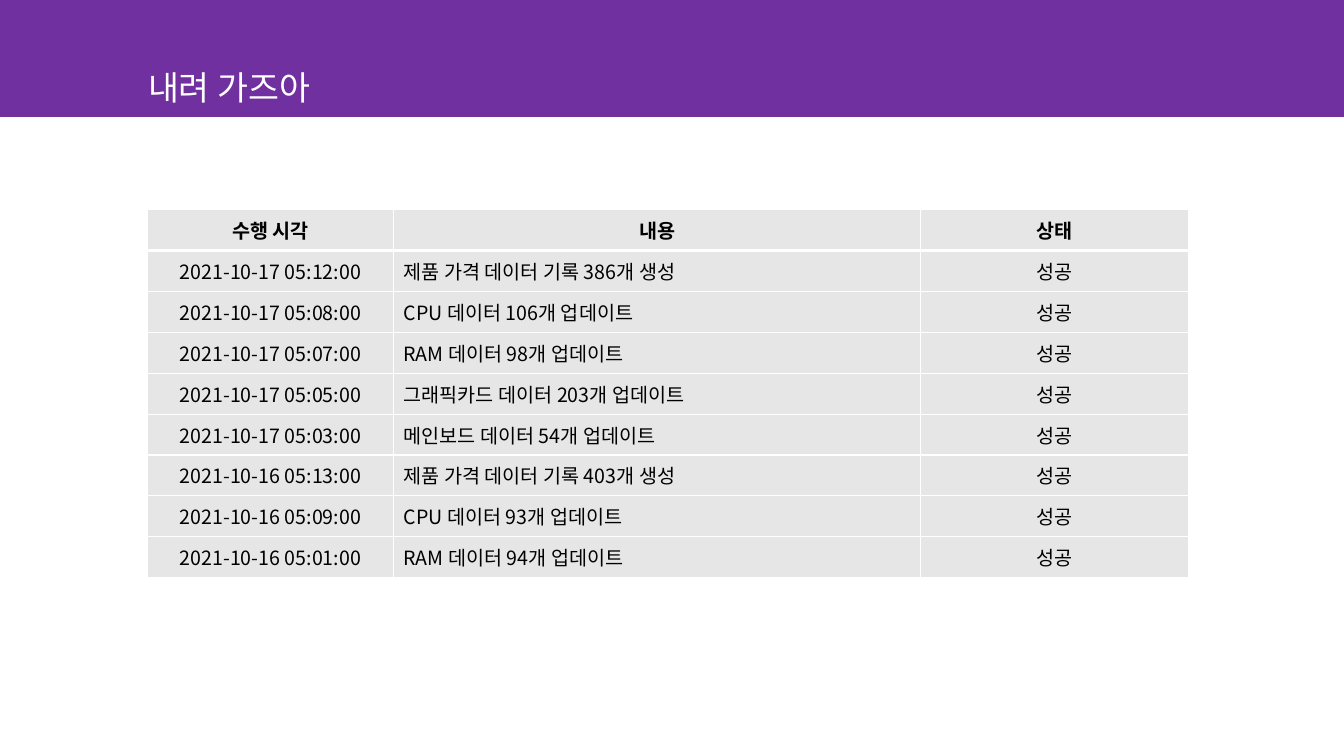
from lxml.etree import SubElement as Sub
from pptx import Presentation
from pptx.dml.color import RGBColor as RGB
from pptx.enum.shapes import MSO_SHAPE as Kind
from pptx.enum.text import MSO_ANCHOR as Anchor, MSO_AUTO_SIZE as Fit, PP_ALIGN as Align
from pptx.oxml.ns import qn
from pptx.util import Pt

FONT = "Noto Sans CJK KR"
HUES = {"band": "7030A0", "cell": "E7E6E6", "text": "000000", "white": "FFFFFF"}
HEAD = ("수행 시각", "내용", "상태")
LOGS = [
    ("2021-10-17 05:12:00", "제품 가격 데이터 기록 386개 생성"),
    ("2021-10-17 05:08:00", "CPU 데이터 106개 업데이트"),
    ("2021-10-17 05:07:00", "RAM 데이터 98개 업데이트"),
    ("2021-10-17 05:05:00", "그래픽카드 데이터 203개 업데이트"),
    ("2021-10-17 05:03:00", "메인보드 데이터 54개 업데이트"),
    ("2021-10-16 05:13:00", "제품 가격 데이터 기록 403개 생성"),
    ("2021-10-16 05:09:00", "CPU 데이터 93개 업데이트"),
    ("2021-10-16 05:01:00", "RAM 데이터 94개 업데이트"),
]
STATE = "성공"


class Deck:
    """Holds the slide style and draws each kind of element."""

    def __init__(self, wide, high):
        self.prs = Presentation()
        self.prs.slide_width, self.prs.slide_height = Pt(wide), Pt(high)
        self.slide = self.prs.slides.add_slide(self.prs.slide_layouts[5])

    def hue(self, name):
        return RGB.from_string(HUES[name])

    def label(self, frame, text, size, hue, align, bold=False):
        frame.text = text
        para = frame.paragraphs[0]
        para.alignment = align
        for run in para.runs:
            font = run.font
            font.name, font.size, font.bold = FONT, Pt(size), bold
            font.color.rgb = self.hue(hue)
            Sub(run._r.get_or_add_rPr(), qn("a:ea"), typeface=FONT)

    def band(self, box, hue):
        shape = self.slide.shapes.add_shape(Kind.RECTANGLE, *map(Pt, box))
        shape.shadow.inherit = False
        shape.fill.solid()
        shape.fill.fore_color.rgb = self.hue(hue)
        shape.line.fill.background()
        self.slide.shapes._spTree.insert(2, shape._element)

    def title(self, text, box):
        shape = self.slide.shapes.title
        shape.left, shape.top, shape.width, shape.height = map(Pt, box)
        frame = shape.text_frame
        frame.word_wrap = False
        frame.auto_size = Fit.SHAPE_TO_FIT_TEXT
        frame.vertical_anchor = Anchor.BOTTOM
        self.label(frame, text, 24, "white", Align.LEFT)

    def edges(self, cell, top, base):
        props = cell._tc.get_or_add_tcPr()
        for side, size in zip("LRTB", (1, 1, top, base)):
            line = Sub(props, qn(f"a:ln{side}"), w=str(Pt(size)))
            fill = Sub(line, qn("a:solidFill"))
            Sub(fill, qn("a:srgbClr"), val=HUES["white"])

    def table(self, rows, left, top, cols, high):
        frame = self.slide.shapes.add_table(
            len(rows), len(cols), Pt(left), Pt(top), Pt(sum(cols)), Pt(high * len(rows)))
        grid = frame.table
        grid.horz_banding = False
        for col, wide in zip(grid.columns, cols):
            col.width = Pt(wide)
        for r, row in enumerate(rows):
            grid.rows[r].height = Pt(high)
            for c, text in enumerate(row):
                cell = grid.cell(r, c)
                cell.vertical_anchor = Anchor.MIDDLE
                self.edges(cell, 3 if r == 1 else 1, 3 if r == 0 else 1)
                cell.fill.solid()
                cell.fill.fore_color.rgb = self.hue("cell")
                align = Align.LEFT if r and c == 1 else Align.CENTER
                self.label(cell.text_frame, text, 14, "text", align, r == 0)

    def save(self):
        self.prs.save("out.pptx")


def main():
    deck = Deck(960, 540)
    deck.band((0, 0, 960, 83.5), "band")
    deck.title("내려 가즈아", (98.6, 43.9, 144, 36))
    rows = [HEAD] + [(*log, STATE) for log in LOGS]
    deck.table(rows, 105.4, 149.8, (175.7, 376.5, 191.5), 29.2)
    deck.save()


if __name__ == "__main__":
    main()
